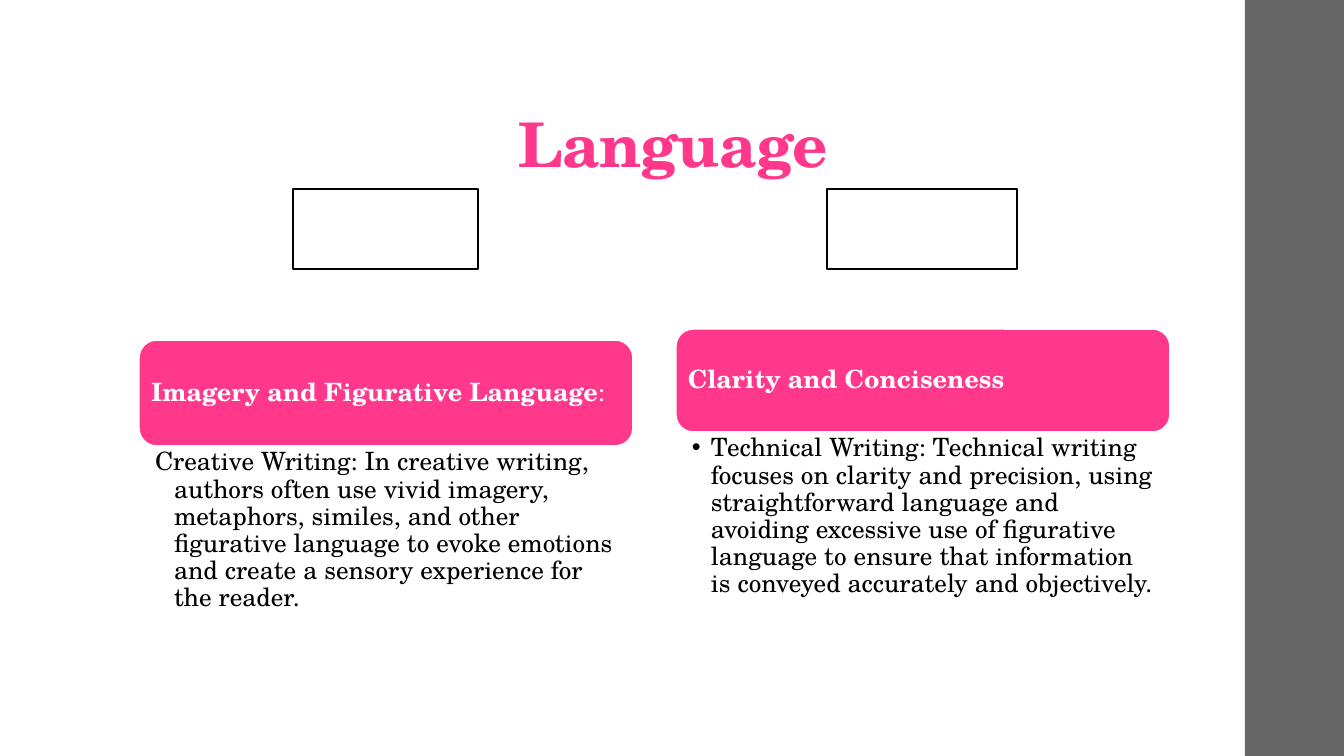
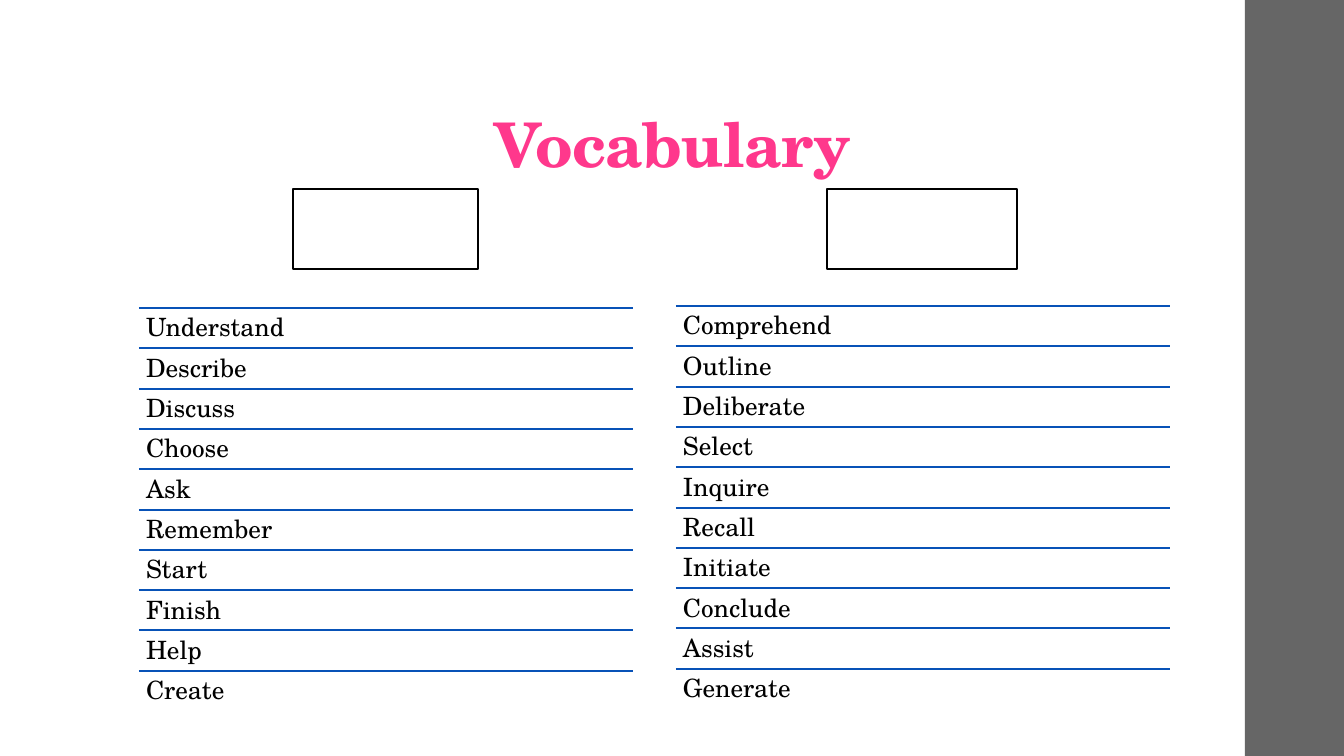
"""Build the Language and Vocabulary slides comparing two kinds of writing."""
import pptx
import pptx.dml.color
import pptx.enum.shapes
import pptx.enum.text
import pptx.oxml
import pptx.oxml.ns
import pptx.util

RGB = pptx.dml.color.RGBColor.from_string
Pt = pptx.util.Pt
SHAPE = pptx.enum.shapes.MSO_SHAPE
ANCHOR = pptx.enum.text.MSO_ANCHOR
ALIGN = pptx.enum.text.PP_ALIGN
NS = pptx.oxml.ns.nsdecls("a")
WIDTH, HEIGHT = 1344, 756
SCALE = 12192000 / WIDTH


class Theme:
    pink, gray, blue = RGB("FF388C"), RGB("666666"), RGB("0852B7")
    white, black = RGB("FFFFFF"), RGB("000000")
    font = "TeX Gyre Schola"
    title_size, text_size = Pt(44), Pt(18)
    line = Pt(1.1)


def px(*lengths):
    return [round(n * SCALE) for n in lengths]


def write(tf, paragraphs, insets, anchor, size, color, after=0, align=ALIGN.LEFT, indent=(0, 0), bullet=None):
    left, top, right, bottom = px(*insets)
    frame = dict(margin_left=left, margin_top=top, margin_right=right, margin_bottom=bottom,
                 word_wrap=True, auto_size=pptx.enum.text.MSO_AUTO_SIZE.NONE, vertical_anchor=anchor)
    for name, value in frame.items():
        setattr(tf, name, value)
    for i, runs in enumerate(paragraphs):
        p = tf.add_paragraph() if i else tf.paragraphs[0]
        for name, value in dict(alignment=align, line_spacing=0.9, space_before=Pt(0), space_after=Pt(after)).items():
            setattr(p, name, value)
        pPr = p._p.get_or_add_pPr()
        for name, value in zip(("marL", "indent"), px(*indent)):
            pPr.set(name, str(value))
        bu = f'<a:buChar {NS} char="{bullet}"/>' if bullet else f"<a:buNone {NS}/>"
        pPr.append(pptx.oxml.parse_xml(bu))
        for text, bold in runs:
            r = p.add_run()
            r.text = text
            for name, value in dict(name=Theme.font, size=size, bold=bold).items():
                setattr(r.font, name, value)
            r.font.color.rgb = color


prs = pptx.Presentation()
prs.slide_width, prs.slide_height = px(WIDTH, HEIGHT)
layout = prs.slide_layouts[3]
language, vocabulary = slides = [prs.slides.add_slide(layout) for _ in range(2)]

band = language.shapes.add_shape(SHAPE.RECTANGLE, *px(1245, 0, WIDTH - 1245, HEIGHT))
band.shadow.inherit = False
band.fill.solid()
band.fill.fore_color.rgb = Theme.gray
band.line.fill.background()
band.element.nvSpPr.cNvPr.set("id", "20")
layout.shapes.element.append(band.element)

for s, title in zip(slides, ("Language", "Vocabulary")):
    sp = s.shapes.title
    sp.left, sp.top, sp.width, sp.height = px(139, 29, 1068, 157)
    write(sp.text_frame, [[(title, True)]], (10, 3, 10, 5), ANCHOR.BOTTOM,
          Theme.title_size, Theme.pink, align=ALIGN.CENTER)
    sp.text_frame.paragraphs[0].runs[0].font._element.set("spc", "-50")
    for left, width in ((293, 185), (827, 190)):
        sp = s.shapes.add_shape(SHAPE.RECTANGLE, *px(left, 189, width, 80))
        sp.shadow.inherit = False
        sp.fill.solid()
        sp.fill.fore_color.rgb = Theme.white
        sp.line.color.rgb = Theme.black
        sp.line.width = Theme.line

COLUMNS, COLUMN_WIDTH = (139, 676), 494

cards = [
    (340, 106, [("Imagery and Figurative Language", True), (":", False)], None,
     "Creative Writing: In creative writing, authors often use vivid imagery, metaphors, similes, "
     "and other figurative language to evoke emotions and create a sensory experience for the reader."),
    (329, 103, [("Clarity and Conciseness", True)], "•",
     "Technical Writing: Technical writing focuses on clarity and precision, using straightforward "
     "language and avoiding excessive use of figurative language to ensure that information is "
     "conveyed accurately and objectively."),
]
for i, (left, (top, height, heading, bullet, text)) in enumerate(zip(COLUMNS, cards), 1):
    sp = language.shapes.add_shape(SHAPE.ROUNDED_RECTANGLE, *px(left, top, COLUMN_WIDTH, height))
    sp.shadow.inherit = False
    sp.fill.solid()
    sp.fill.fore_color.rgb = Theme.pink
    sp.line.color.rgb = Theme.white
    sp.line.width = Theme.line
    write(sp.text_frame, [heading], (7, 7, 7, 7), ANCHOR.MIDDLE, Theme.text_size, Theme.white)
    body = language.placeholders[i]
    body.left, body.top, body.width, body.height = px(left, top + height, COLUMN_WIDTH, 190)
    write(body.text_frame, [[(text, False)]], (16, 3, 14, 3), ANCHOR.TOP,
          Theme.text_size, Theme.black, indent=(19, -19), bullet=bullet)

LIST_HEIGHT = 403
lists = [
    (308, ["Understand", "Describe", "Discuss", "Choose", "Ask",
           "Remember", "Start", "Finish", "Help", "Create"]),
    (306, ["Comprehend", "Outline", "Deliberate", "Select", "Inquire",
           "Recall", "Initiate", "Conclude", "Assist", "Generate"]),
]
for i, (left, (top, words)) in enumerate(zip(COLUMNS, lists), 1):
    body = vocabulary.placeholders[i]
    body.left, body.top, body.width, body.height = px(left, top, COLUMN_WIDTH, LIST_HEIGHT)
    write(body.text_frame, [[(word, False)] for word in words], (7, 7, 7, 7), ANCHOR.TOP,
          Theme.text_size, Theme.black, after=9.35)
    for row in range(len(words)):
        y = top + round(LIST_HEIGHT * row / len(words))
        rule = vocabulary.shapes.add_connector(pptx.enum.shapes.MSO_CONNECTOR.STRAIGHT,
                                               *px(left, y, left + COLUMN_WIDTH, y))
        rule.line.color.rgb = Theme.blue
        rule.line.width = Theme.line
        rule.element.spPr.append(pptx.oxml.parse_xml(f"<a:effectLst {NS}/>"))

prs.save("out.pptx")
